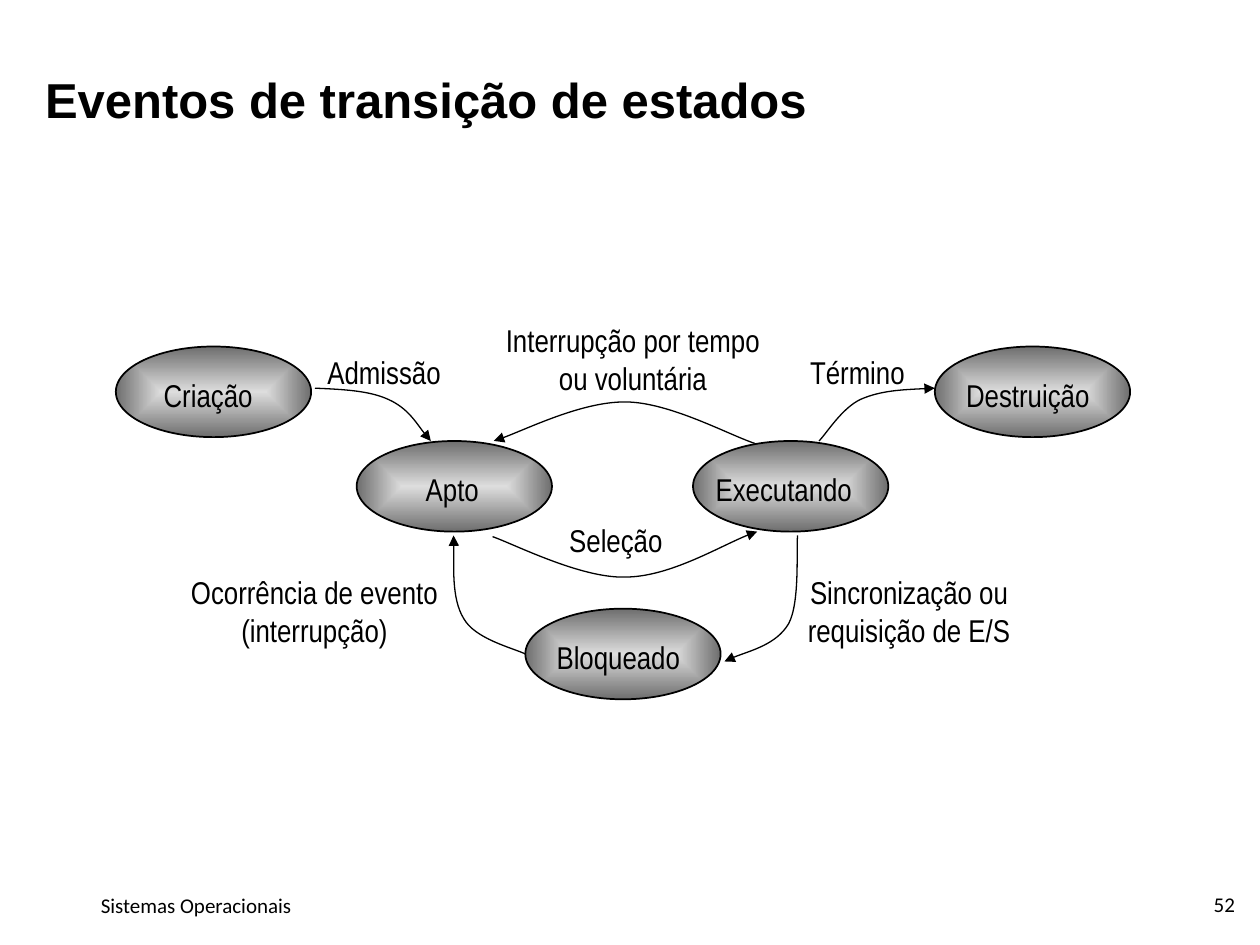
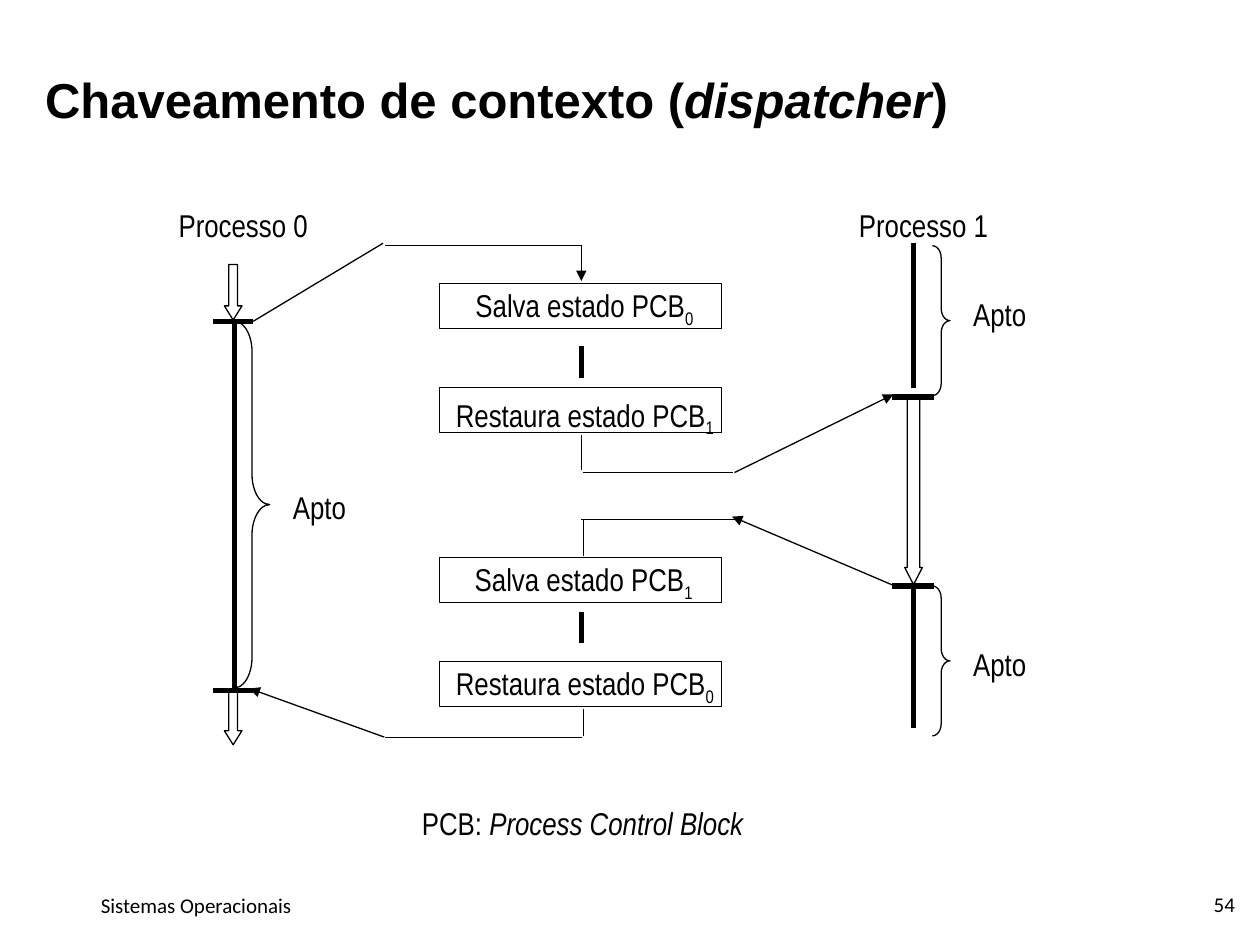
"""Build two slides on process states and context switching."""
from lxml import etree
from pptx import Presentation
from pptx.dml.color import RGBColor
from pptx.enum.shapes import MSO_CONNECTOR, MSO_SHAPE
from pptx.enum.text import MSO_ANCHOR, MSO_AUTO_SIZE, PP_ALIGN
from pptx.oxml.ns import qn
from pptx.util import Pt

STRAIGHT = MSO_CONNECTOR.STRAIGHT
ELLIPSE, RECTANGLE = MSO_SHAPE.OVAL, MSO_SHAPE.RECTANGLE
DOWN_ARROW, BRACE = MSO_SHAPE.DOWN_ARROW, MSO_SHAPE.RIGHT_BRACE
LEFT, CENTER, RIGHT = PP_ALIGN.LEFT, PP_ALIGN.CENTER, PP_ALIGN.RIGHT
TOP, MIDDLE = MSO_ANCHOR.TOP, MSO_ANCHOR.MIDDLE
FIT_SHAPE = MSO_AUTO_SIZE.SHAPE_TO_FIT_TEXT

COLORS = {"ink": "000000", "state_center": "DDDDDD", "state_edge": "6E6E6E"}
INK = RGBColor.from_string(COLORS["ink"])
THIN, THICK = 0.75, 3
LABEL_HEIGHT = 28.8


def add_text(slide, text, box, font="Arial Narrow", size=18, bold=None, align=LEFT,
             anchor=TOP, margins=(7.2, 3.6), fit=True, spacing=None):
    """Add text; pieces after an odd "|" are subscripts if digits, else italic."""
    frame = slide.shapes.add_textbox(*map(Pt, box)).text_frame
    frame.word_wrap = not fit
    if fit:
        frame.auto_size = FIT_SHAPE
    frame.vertical_anchor = anchor
    frame.margin_left = frame.margin_right = Pt(margins[0])
    frame.margin_top = frame.margin_bottom = Pt(margins[1])
    for index, line in enumerate(text.split("\n")):
        paragraph = frame.add_paragraph() if index else frame.paragraphs[0]
        paragraph.alignment = align
        paragraph.line_spacing = spacing
        paragraph.font.name, paragraph.font.size = font, Pt(size)
        paragraph.font.bold = bold
        paragraph.font.color.rgb = INK
        for position, piece in enumerate(line.split("|")):
            run = paragraph.add_run()
            run.text = piece
            if position % 2 and piece.isdigit():
                run._r.get_or_add_rPr().set("baseline", "-25000")
            elif position % 2:
                run.font.italic = True


def outline(shape, width=THIN, arrow=False):
    """Give a shape or connector a plain dark line and no shadow or fill."""
    shape.line.color.rgb = INK
    shape.line.width = Pt(width)
    properties = shape._element.spPr
    line = properties.find(qn("a:ln"))
    if width == THICK:
        line.set("cap", "sq")
    if arrow:
        etree.SubElement(line, qn("a:tailEnd"), type="triangle")
    etree.SubElement(properties, qn("a:effectLst"))
    if hasattr(shape, "fill"):
        shape.fill.background()


prs = Presentation()
prs.slide_width, prs.slide_height = Pt(720), Pt(540)
slides = []
for title, number in [("Eventos de transição de estados", "52"),
                      ("Chaveamento de contexto (|dispatcher|)", "54")]:
    slide = prs.slides.add_slide(prs.slide_layouts[6])
    add_text(slide, "Sistemas Operacionais", (54, 506.2, 583.2, 23.8), "Calibri", 12,
             margins=(3.6, 3.6), fit=False)
    add_text(slide, number, (607.7, 506.9, 105.1, 19.4), "Calibri", 12, align=RIGHT,
             anchor=MIDDLE, margins=(7.2, 0), fit=False)
    add_text(slide, title, (18.7, 41.4, 598.3, 65.5), "Arial", 28, bold=True, fit=False,
             spacing=0.85)
    slides.append(slide)
states, switching = slides

for name, left, top, label_left, label_width in [
        ("Criação", 66.2, 198, 86.4, 68),
        ("Apto", 203.8, 252, 236.2, 47),
        ("Executando", 396, 252, 401.8, 95),
        ("Destruição", 534.2, 198, 545, 88),
        ("Bloqueado", 300.2, 347.8, 311, 88)]:
    state = states.shapes.add_shape(ELLIPSE, Pt(left), Pt(top), Pt(111.6), Pt(51.8))
    outline(state, 1)
    state.fill.gradient()
    for stop, color in zip(state.fill.gradient_stops, ("state_center", "state_edge")):
        stop.color.rgb = RGBColor.from_string(COLORS[color])
    gradient = state._element.spPr.find(qn("a:gradFill"))
    gradient.remove(gradient.find(qn("a:lin")))
    shade = etree.SubElement(gradient, qn("a:path"), path="rect")
    etree.SubElement(shade, qn("a:fillToRect"), l="50000", t="50000", r="50000", b="50000")
    add_text(states, name, (label_left, top + 13.2, label_width, LABEL_HEIGHT))

for event, left, top, width in [
        ("Ocorrência de evento\n(interrupção)", 100.2, 324, 159),
        ("Seleção", 318.2, 294.1, 70),
        ("Término", 455.8, 198, 71),
        ("Interrupção por tempo\nou voluntária", 280.2, 180, 163),
        ("Sincronização ou\nrequisição de E/S", 453, 324, 133),
        ("Admissão", 180, 198, 82)]:
    two_lines = "\n" in event
    add_text(states, event, (left, top, width, 50.4 if two_lines else LABEL_HEIGHT),
             align=CENTER if two_lines else LEFT)

transitions = [
    [(431.3, 253.4), (416.2, 248.4), (382.3, 229.7), (357.1, 229.7),
     (332.6, 229.7), (294.5, 248.4), (282.2, 252)],
    [(455.8, 306), (455, 314.6), (457.2, 344.2), (450.7, 356.4),
     (443.5, 368.6), (421.9, 373.7), (414, 378)],
    [(281.5, 306.7), (293.8, 311), (331.9, 330.5), (357.1, 329.8),
     (382.3, 329.8), (416.9, 308.9), (432.7, 303.8)],
    [(300.2, 373.7), (292.3, 370.1), (271.4, 365), (265, 353.5),
     (257.8, 342), (259.9, 313.9), (259.2, 306)],
    [(180, 221.8), (195.8, 222.5), (211, 223.2), (221.8, 228.2),
     (233.3, 233.3), (241.9, 247.7), (246.2, 252)],
    [(468, 252), (472.3, 247.7), (481, 233.3), (491.8, 228.2),
     (503.3, 223.2), (518.4, 222.5), (534.2, 221.8)],
]
for points in transitions:
    start, *controls = [(Pt(x), Pt(y)) for x, y in points]
    builder = states.shapes.build_freeform(*start)
    builder.add_line_segments(controls, close=False)
    transition = builder.convert_to_shape()
    segments = list(transition._element.iter(qn("a:lnTo")))
    for first in range(0, len(segments), 3):
        curve = etree.SubElement(segments[first].getparent(), qn("a:cubicBezTo"))
        for segment in segments[first:first + 3]:
            curve.append(segment[0])
            segment.getparent().remove(segment)
    outline(transition, arrow=True)

for step, left, top, width in [
        ("Salva estado PCB|0", 264.6, 159.8, 142),
        ("Restaura estado PCB|1", 253.4, 222.5, 165),
        ("Salva estado PCB|1", 264.2, 316.6, 142),
        ("Restaura estado PCB|0", 253.4, 375.8, 165)]:
    add_text(switching, step, (left, top, width, 31.7))
for top in (162, 221.4, 318.6, 378):
    step_box = switching.shapes.add_shape(RECTANGLE, Pt(251.3), Pt(top), Pt(160.9), Pt(25.9))
    outline(step_box)

for kind, box, adjustments in [
        (DOWN_ARROW, (128.2, 151.2, 10.1, 31.7), (0.5, 0.8)),
        (DOWN_ARROW, (128.2, 394.6, 10.1, 31), (0.5, 0.8)),
        (DOWN_ARROW, (517, 226.8, 10.1, 107.3), (0.7, 0.97)),
        (BRACE, (133.9, 183.6, 20.2, 209.5), (0.86, 0.5)),
        (BRACE, (532.8, 140.4, 10.1, 85.7), (0.69, 0.5)),
        (BRACE, (532.8, 334.8, 10.1, 85.7), (0.69, 0.5))]:
    period = switching.shapes.add_shape(kind, *map(Pt, box))
    for index, value in enumerate(adjustments):
        period.adjustments[index] = value
    outline(period)

waiting_and_marks = [
    (133.9, 183.6, 133.9, 393.1), (522, 140.4, 522, 220.3), (522, 334.8, 522, 414.7),
    (123.1, 183.6, 143.3, 183.6), (123.1, 394.6, 143.3, 394.6),
    (511.2, 226.8, 532.1, 226.8), (511.2, 334.8, 532.1, 334.8),
    (332.2, 199.4, 332.2, 214.6), (332.2, 351.4, 332.2, 365.8),
]
paths = [
    (144.7, 183.6, 218.9, 139), (220.3, 140.4, 332.6, 140.4),
    (332.2, 248.4, 332.2, 268.6), (333.4, 270, 419, 270),
    (419.8, 296.9, 332.2, 296.9), (333.4, 296.9, 333.4, 317.5),
    (333.4, 405.4, 333.4, 420.5), (220.3, 421.5, 332.6, 421.5),
]
arrows = [
    (332.2, 140.4, 332.2, 160.6), (419.8, 270, 510.5, 225.4),
    (511.2, 334.8, 418.3, 295.2), (219.6, 421.2, 142.6, 393.5),
]
for group, width, arrow in [(waiting_and_marks, THICK, False), (paths, THIN, False),
                            (arrows, THIN, True)]:
    for ends in group:
        outline(switching.shapes.add_connector(STRAIGHT, *map(Pt, ends)), width, arrow)

for label, left, top, width in [
        ("Apto", 160.3, 275.4, 47),
        ("Apto", 549, 164.9, 47),
        ("Apto", 549, 365, 47),
        ("Processo 0", 95, 114.1, 92),
        ("Processo 1", 483.8, 114.1, 92)]:
    add_text(switching, label, (left, top, width, LABEL_HEIGHT))
add_text(switching, "PCB: |Process Control Block", (232, 455.8, 202, LABEL_HEIGHT), align=CENTER)

prs.save("out.pptx")
